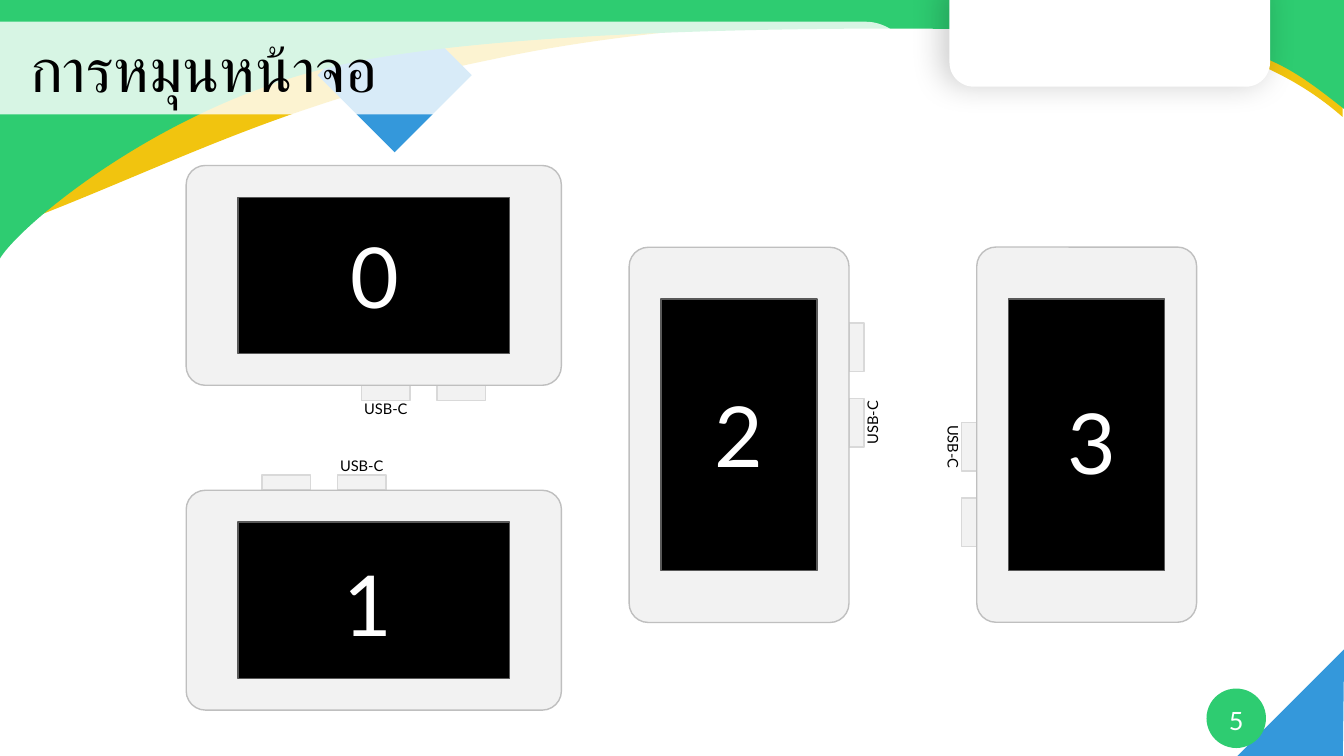
from math import cos, radians, sin
from lxml.etree import SubElement
from pptx import Presentation
from pptx.dml.color import RGBColor
from pptx.enum.shapes import MSO_SHAPE
from pptx.enum.text import MSO_ANCHOR, MSO_AUTO_SIZE, PP_ALIGN
from pptx.oxml.ns import qn
from pptx.util import Pt

TITLE = "การหมุนหน้าจอ"
PAGE = "5"
PORT_LABEL = "USB-C"
FONT = "Lato"
COLORS = {
    "green": "2ECC71", "yellow": "F1C40F", "blue": "3498DB",
    "white": "FFFFFF", "black": "000000", "case": "F2F2F2",
    "case_edge": "BFBFBF", "port_edge": "D9D9D9", "screen_edge": "595959",
}
DEVICES = [
    {"digit": "0", "center": (267, 196.7), "turn": 0, "label_turn": 0, "digit_shift": (0.5, 0.4)},
    {"digit": "1", "center": (267, 428.7), "turn": 180, "label_turn": 0, "digit_shift": (-4, 2.5)},
    {"digit": "2", "center": (527.9, 310.6), "turn": 270, "label_turn": 270, "digit_shift": (0, 0)},
    {"digit": "3", "center": (776.2, 310.5), "turn": 90, "label_turn": 90, "digit_shift": (4, 5)},
]
CASE_SIZE = (268, 157)
SCREEN_SIZE = (194, 111.6)
PORT_SIZE = (34.8, 10.8)
LABEL_SIZE = (46, 21)
DIGIT_SIZE = (181, 80)
PORT_OFFSETS = [(62.6, 84), (8.6, 84)]
LABEL_OFFSET = (8.6, 95.8)

YELLOW_WAVE = {
    "start": (0.7, 164.2),
    "curves": [
        [(117.4, 121), (198, 73.4), (351.4, 42.5)],
        [(476.6, 15.1), (652.3, 8.6), (753.1, 15.1)],
        [(854.6, 22.3), (916.6, 46.1), (959, 83.5)],
    ],
    "corners": [(960, -8), (-0.7, 0.7)],
}
GREEN_WAVE = {
    "start": (-0.7, 185.8),
    "curves": [
        [(11.5, 162.7), (118.8, 72), (247.7, 45.4)],
        [(377.3, 18), (657.4, 18), (776.2, 23)],
        [(895, 28.8), (911.5, 39.6), (960, 77.8)],
    ],
    "corners": [(960, -8.6), (-0.7, 0)],
}


def rgb(name):
    return RGBColor.from_string(COLORS[name])


def paint(shape, fill, edge=None):
    shape.shadow.inherit = False
    shape.fill.solid()
    shape.fill.fore_color.rgb = rgb(fill)
    if edge:
        shape.line.color.rgb = rgb(edge)
        shape.line.width = Pt(1)
    else:
        shape.line.fill.background()
    return shape


def add_preset(parent, preset, box, fill, edge=None, turn=0, adjust=()):
    shape = parent.add_shape(preset, *map(Pt, box))
    shape.rotation = turn
    for index, value in enumerate(adjust):
        shape.adjustments[index] = value
    return paint(shape, fill, edge)


def write(frame, words, size, color, align):
    paragraph = frame.paragraphs[0]
    paragraph.alignment = align
    run = paragraph.add_run()
    run.text = words
    run.font.size = Pt(size)
    run.font.name = FONT
    run.font.color.rgb = rgb(color)
    SubElement(run.font._element, qn("a:cs"), typeface=FONT)
    return paragraph


def add_label(parent, box, words, size, color, turn=0, anchor=MSO_ANCHOR.TOP):
    label = parent.add_textbox(*map(Pt, box))
    label.rotation = turn
    frame = label.text_frame
    frame.word_wrap = True
    frame.margin_left = frame.margin_right = 0
    frame.vertical_anchor = anchor
    write(frame, words, size, color, PP_ALIGN.CENTER)


def add_wave(parent, wave, fill):
    points = [wave["start"], *sum(wave["curves"], []), *wave["corners"]]
    outline = [(Pt(x), Pt(y)) for x, y in points]
    builder = parent.build_freeform(*outline[0])
    builder.add_line_segments(outline[1:], close=True)
    shape = paint(builder.convert_to_shape(), fill)
    lines = list(shape._element.iter(qn("a:lnTo")))
    for index in range(len(wave["curves"])):
        trio = lines[3 * index:3 * index + 3]
        bezier = SubElement(trio[0].getparent(), qn("a:cubicBezTo"))
        trio[0].addprevious(bezier)
        for line in trio:
            bezier.append(line[0])
            line.getparent().remove(line)


def set_alpha(color_element, percent):
    SubElement(color_element, qn("a:alpha"), val=str(percent * 1000))


def add_backdrop(shapes):
    add_preset(shapes, MSO_SHAPE.ISOSCELES_TRIANGLE, (885.6, 494.6, 109.4, 53.3), "blue", turn=135)
    add_preset(shapes, MSO_SHAPE.OVAL, (861.8, 491.8, 42.5, 42.5), "green")
    add_wave(shapes, YELLOW_WAVE, "yellow")
    add_preset(shapes, MSO_SHAPE.DIAMOND, (226.8, -1.4, 110.2, 110.2), "blue")
    add_wave(shapes, GREEN_WAVE, "green")

    tab = add_preset(shapes, MSO_SHAPE.ROUND_2_SAME_RECTANGLE, (678.2, -6.5, 229, 68.4),
                     "white", turn=180, adjust=(0.254, 0))
    effects = tab._element.spPr.find(qn("a:effectLst"))
    shadow = SubElement(effects, qn("a:outerShdw"), blurRad=str(Pt(22)), dist="0", dir="0",
                        sx="102000", sy="102000", algn="ctr")
    set_alpha(SubElement(shadow, qn("a:srgbClr"), val=COLORS["black"]), 19)

    band = add_preset(shapes, MSO_SHAPE.ROUND_2_SAME_RECTANGLE, (292.3, -277.2, 66.2, 651.6),
                      "white", turn=90, adjust=(0.5, 0))
    set_alpha(band._element.spPr.find(qn("a:solidFill"))[0], 81)


def add_title(slide):
    title = slide.shapes.title
    title.left, title.top, title.width, title.height = map(Pt, (14.4, 10.8, 877, 82))
    frame = title.text_frame
    frame.auto_size = MSO_AUTO_SIZE.NONE
    frame.word_wrap = True
    frame.vertical_anchor = MSO_ANCHOR.MIDDLE
    write(frame, TITLE, 44, "black", PP_ALIGN.LEFT).line_spacing = 0.9
    slide.shapes._spTree.append(title._element)


def add_device(shapes, device):
    parts = shapes.add_group_shape().shapes
    center_x, center_y = device["center"]
    turn = device["turn"]
    angle = radians(turn)

    def place(size, offset=(0, 0)):
        x, y = offset
        return (center_x + x - size[0] / 2, center_y + y - size[1] / 2, *size)

    def turned(offset):
        x, y = offset
        return x * cos(angle) - y * sin(angle), x * sin(angle) + y * cos(angle)

    for offset in PORT_OFFSETS:
        add_preset(parts, MSO_SHAPE.RECTANGLE, place(PORT_SIZE, turned(offset)),
                   "case", "port_edge", turn)
    add_preset(parts, MSO_SHAPE.ROUNDED_RECTANGLE, place(CASE_SIZE),
               "case", "case_edge", turn, (0.087,))
    add_preset(parts, MSO_SHAPE.RECTANGLE, place(SCREEN_SIZE), "black", "screen_edge", turn)
    add_label(parts, place(LABEL_SIZE, turned(LABEL_OFFSET)), PORT_LABEL, 10.5, "black",
              device["label_turn"])
    add_label(parts, place(DIGIT_SIZE, device["digit_shift"]), device["digit"], 60, "white")


def main():
    deck = Presentation()
    deck.slide_width, deck.slide_height = Pt(960), Pt(540)
    slide = deck.slides.add_slide(deck.slide_layouts[5])
    add_backdrop(slide.shapes)
    add_title(slide)
    add_label(slide.shapes, (861.8, 500.4, 42.5, 28.8), PAGE, 18, "white",
              anchor=MSO_ANCHOR.MIDDLE)
    for device in DEVICES:
        add_device(slide.shapes, device)
    deck.save("out.pptx")


if __name__ == "__main__":
    main()
